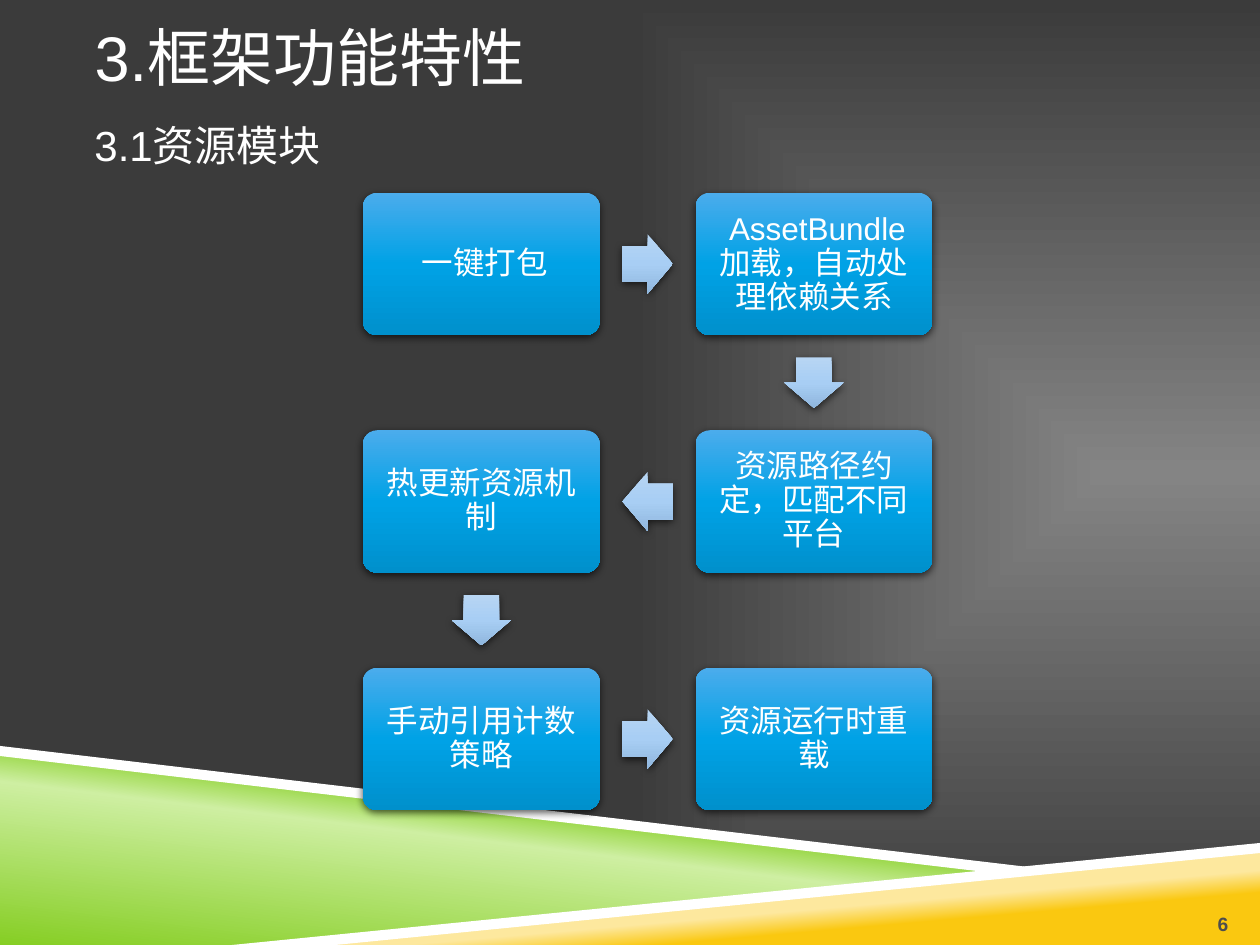
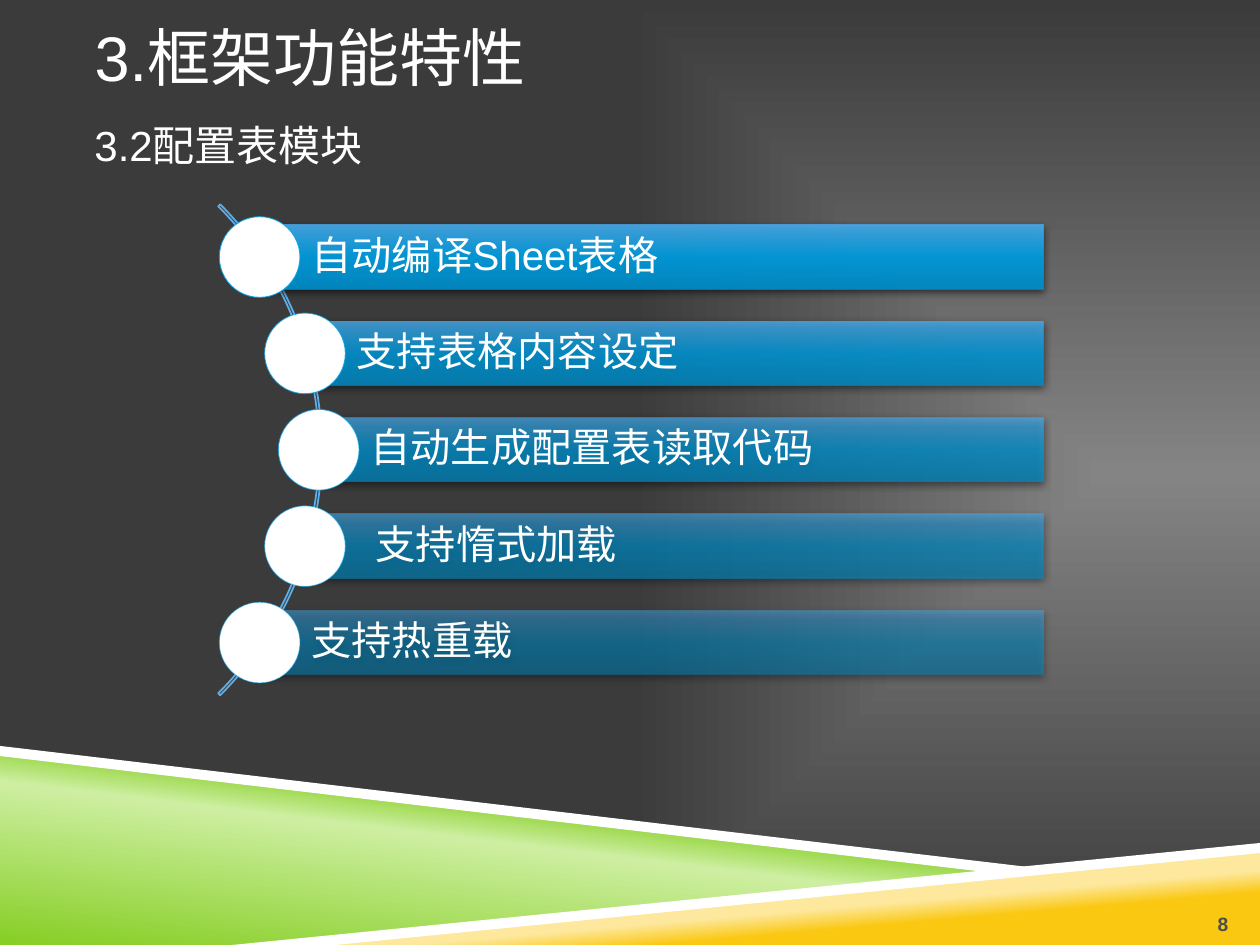
from math import atan2, degrees, sqrt

from lxml import etree
from pptx import Presentation
from pptx.dml.color import RGBColor
from pptx.enum.shapes import MSO_SHAPE as Kind
from pptx.enum.text import MSO_ANCHOR as Anchor, MSO_AUTO_SIZE as Fit, PP_ALIGN as Align
from pptx.oxml import parse_xml
from pptx.oxml.ns import nsdecls, qn
from pptx.util import Inches, Pt

FONT = "Arial"
WHITE = "FFFFFF"
GREY = "4D4D4D"
SKY = "00A2E6"
ARC = "5EAEE9"
BLUE = [(0, "4BACEC"), (50, SKY), (100, "0090CC")]
PALE = [(0, "B7D5F3"), (50, "A8CEF4"), (100, "90B7DE")]
GREEN = [(0, "86CE24"), (52, "CEEFA2"), (66, "86CE24"), (100, "86CE24")]
GOLD = [(0, "FAC810"), (28, "FAC810"), (40, "FDE89E"), (60, "FDE89E"),
        (72, "FAC810"), (100, "FAC810")]
LINEAR = '<a:lin ang="{}" scaled="0"/>'
GLOW = '<a:path path="rect"><a:fillToRect l="100000" t="50000" b="50000"/></a:path>'
BANDS = [
    (GREEN, 277, [(0, 5.97), (7.92, 6.92), (2, 7.5), (0, 7.5)]),
    (GOLD, 85, [(1.98, 7.5), (10, 6.72), (10, 7.5)]),
    (WHITE, 0, [(0, 5.92), (0, 6), (7.9, 6.93), (8.32, 6.9)]),
    (WHITE, 0, [(10, 6.69), (1.84, 7.5), (2.66, 7.5), (10, 6.77)]),
]
STEPS = [" 一键打包", " AssetBundle加载，自动处理依赖关系", "资源路径约定，匹配不同平台",
         "热更新资源机制", "手动引用计数策略", "资源运行时重载"]
ITEMS = [("自动编译Sheet表格", 0), ("支持表格内容设定", 0), ("自动生成配置表读取代码", 0),
         ("支持惰式加载", 0.15), ("支持热重载", 0)]


def color(code):
    """Turn a hex string into a colour."""
    return RGBColor.from_string(code)


def blend(props, stops, shade, alpha=100):
    """Replace the solid fill in a property element by a gradient."""
    marks = "".join(
        f'<a:gs pos="{pos * 1000}"><a:srgbClr val="{code}">'
        f'<a:alpha val="{alpha * 1000}"/></a:srgbClr></a:gs>' for pos, code in stops)
    fill = parse_xml(f'<a:gradFill {nsdecls("a")} rotWithShape="1">'
                     f'<a:gsLst>{marks}</a:gsLst>{shade}</a:gradFill>')
    props.replace(props.find(qn("a:solidFill")), fill)


def paint(shape, fill, angle=90, alpha=100):
    """Give a shape a plain or graded fill, with no line or shadow."""
    shape.shadow.inherit = False
    shape.line.fill.background()
    shape.fill.solid()
    if isinstance(fill, str):
        shape.fill.fore_color.rgb = color(fill)
    else:
        blend(shape._element.spPr, fill, LINEAR.format(angle * 60000), alpha)


def shade(shape):
    """Cast a soft shadow below a shape."""
    effects = shape._element.spPr.find(qn("a:effectLst"))
    effects.append(parse_xml(
        f'<a:outerShdw {nsdecls("a")} blurRad="57150" dist="19050" dir="5400000" '
        'algn="ctr" rotWithShape="0"><a:srgbClr val="000000">'
        '<a:alpha val="63000"/></a:srgbClr></a:outerShdw>'))


def write(shape, text, size, pads, align=Align.LEFT, anchor=Anchor.MIDDLE,
          code=WHITE, bold=False, gap=1.0):
    """Set and format the text of a shape; pads run left, top, right, bottom."""
    frame = shape.text_frame
    frame.text = text
    frame.word_wrap = True
    frame.auto_size = Fit.NONE
    frame.vertical_anchor = anchor
    (frame.margin_left, frame.margin_top,
     frame.margin_right, frame.margin_bottom) = map(Inches, pads)
    para = frame.paragraphs[0]
    para.alignment = align
    para.line_spacing = gap
    para._p.get_or_add_pPr().set("hangingPunct", "0")
    font = para.runs[0].font
    font.name, font.size, font.bold = FONT, Pt(size), bold
    font.color.rgb = color(code)


def place(slide, kind, box):
    """Add a preset shape in a box given in inches."""
    return slide.shapes.add_shape(kind, *map(Inches, box))


def label(slide, box, *args, **style):
    """Add a text box."""
    write(slide.shapes.add_textbox(*map(Inches, box)), *args, **style)


def bands(slide):
    """Draw the slanted bands at the foot of the slide."""
    for fill, angle, points in BANDS:
        dots = [(Inches(x), Inches(y)) for x, y in points]
        pen = slide.shapes.build_freeform(*dots[0], scale=1.0)
        pen.add_line_segments(dots[1:], close=True)
        paint(pen.convert_to_shape(), fill, angle)


def base(deck, topic, number):
    """Add a slide with bands, title, topic and slide number."""
    slide = deck.slides.add_slide(deck.slide_layouts[5])
    bands(slide)
    title = slide.shapes.title
    title.left, title.top, title.width, title.height = map(Inches, (0.75, 0, 8.04, 0.9))
    pads = (0, 0.05, 0, 0.05)
    write(title, "3.框架功能特性", 36, pads)
    label(slide, (9.25, 7.02, 0.5, 0.4), number, 11, (0, 0.05, 0, 0),
          align=Align.RIGHT, anchor=Anchor.BOTTOM, code=GREY, bold=True)
    label(slide, (0.75, 0.9, 8.04, 0.5), topic, 24, pads)
    return slide


def arrow(slide, start, end):
    """Put a block arrow midway between two centres, lit from above."""
    (x, y), (u, v) = start, end
    wide, high = 0.4, 0.47
    shape = place(slide, Kind.RIGHT_ARROW,
                  ((x + u - wide) / 2, (y + v - high) / 2, wide, high))
    shape.adjustments[0], shape.adjustments[1] = 0.6, 0.5
    turn = round(degrees(atan2(v - y, u - x)))
    shape.rotation = turn
    paint(shape, PALE, (90 - turn) % 360)
    shade(shape)


def snake(slide, box):
    """Lay the steps out in two columns, winding down the box."""
    left, top, width, height = box
    wide, high = 1.88, 1.13
    rows = len(STEPS) // 2
    last = None
    for i, text in enumerate(STEPS):
        row, col = divmod(i, 2)
        col = 1 - col if row % 2 else col
        x = left + col * (width - wide)
        y = top + row * (height - high) / (rows - 1)
        mid = (x + wide / 2, y + high / 2)
        if last:
            arrow(slide, last, mid)
        card = place(slide, Kind.ROUNDED_RECTANGLE, (x, y, wide, high))
        card.adjustments[0] = 0.1
        paint(card, BLUE)
        shade(card)
        write(card, text, 18, (0.07,) * 4, align=Align.CENTER, gap=0.9)
        last = mid


def curve(slide, box):
    """Hang the items on an arc that bulges into the box."""
    left, top, width, height = box
    size, bend, high, dot = 5.51, 2.73, 0.51, 0.64
    hub = left - 1.93
    mid = top + height / 2
    arc = place(slide, Kind.BLOCK_ARC, (hub - size / 2, mid - size / 2, size, size))
    for i, value in enumerate((189, 27, 0.004)):
        arc.adjustments[i] = value
    arc.shadow.inherit = False
    arc.fill.background()
    arc.line.color.rgb = color(ARC)
    arc.line.width = Pt(1)
    step = (height - dot) / (len(ITEMS) - 1)
    for i, (text, indent) in enumerate(ITEMS):
        y = top + dot / 2 + i * step
        x = hub + sqrt(bend ** 2 - (y - mid) ** 2)
        alpha = 90 - 10 * i
        bar = place(slide, Kind.RECTANGLE, (x, y - high / 2, left + width - x, high))
        paint(bar, BLUE, alpha=alpha)
        shade(bar)
        write(bar, text, 23, (0.41 + indent, 0.06, 0.06, 0.06), gap=0.9)
        knob = place(slide, Kind.OVAL, (x - dot / 2, y - dot / 2, dot, dot))
        paint(knob, WHITE)
        knob.line.color.rgb = color(SKY)
        knob.line.width = Pt(0.5)
        tint = knob._element.spPr.find(qn("a:ln")).find(".//" + qn("a:srgbClr"))
        etree.SubElement(tint, qn("a:alpha")).set("val", str(alpha * 1000))


def main():
    """Build and save the deck."""
    deck = Presentation()
    deck.slide_width, deck.slide_height = Inches(10), Inches(7.5)
    master = deck.slide_master
    master.background.fill.solid()
    blend(master._element.find(".//" + qn("p:bgPr")),
          [(0, "848484"), (100, "3B3B3B")], GLOW)
    snake(base(deck, "3.1资源模块", "6"), (2.88, 1.53, 4.52, 4.9))
    curve(base(deck, "3.2配置表模块", "8"), (1.73, 1.72, 6.55, 3.7))
    deck.save("out.pptx")


if __name__ == "__main__":
    main()
